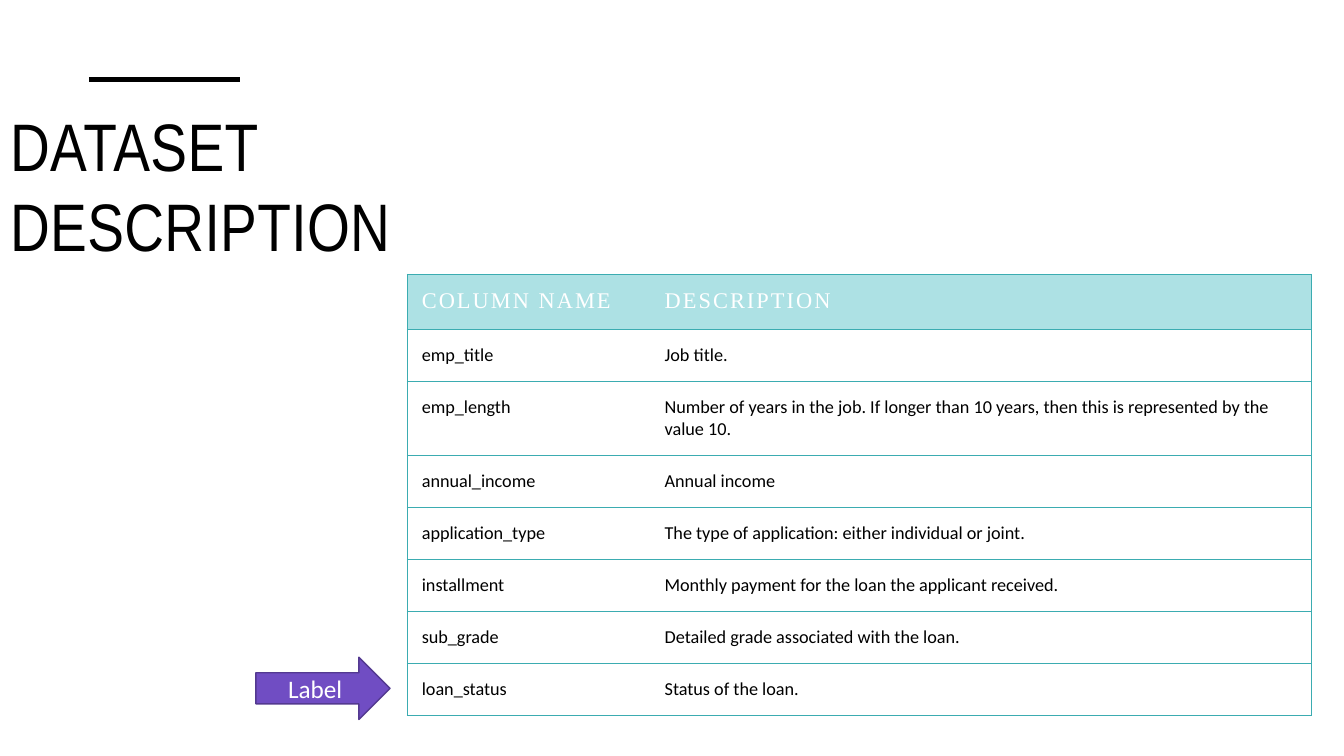
import pptx
import pptx.dml.color
import pptx.enum.shapes
import pptx.enum.text
import pptx.oxml.ns
import pptx.util
from lxml import etree
from pptx.util import Cm, Pt

COLORS = {
    "text": "000000",
    "light": "FFFFFF",
    "header": "ADE1E4",
    "border": "3BACB1",
    "arrow": "704DC3",
    "arrow_line": "533990",
}
ROWS = [
    ("COLUMN NAME", "DESCRIPTION"),
    ("emp_title", "Job title."),
    ("emp_length", "Number of years in the job. If longer than 10 years, "
                   "then this is represented by the value 10."),
    ("annual_income", "Annual income"),
    ("application_type", "The type of application: either individual or joint."),
    ("installment", "Monthly payment for the loan the applicant received."),
    ("sub_grade", "Detailed grade associated with the loan."),
    ("loan_status", "Status of the loan."),
]
COLUMN_WIDTHS = (6.12, 16.66)
HEADER_HEIGHT, ROW_HEIGHT, WRAPPED_ROW_HEIGHT = 1.39, 1.31, 1.87
WRAPPED_ROW = 2
CELL_MARGIN = 0.37


def rgb(name):
    return pptx.dml.color.RGBColor.from_string(COLORS[name])


def add_run(paragraph, text, font, size, color, spacing=0):
    """Add a formatted run; spacing is the letter spacing in points."""
    run = paragraph.add_run()
    run.text = text
    run.font.name = font
    run.font.size = Pt(size)
    run.font.color.rgb = rgb(color)
    if spacing:
        run.font._element.set("spc", str(round(spacing * 100)))


def add_title(slide, text):
    title = slide.shapes.title
    title.left, title.top = Cm(0), Cm(2.49)
    title.width, title.height = Cm(10.44), Cm(10.87)
    frame = title.text_frame
    frame.word_wrap = True
    frame.auto_size = pptx.enum.text.MSO_AUTO_SIZE.NONE
    frame.vertical_anchor = pptx.enum.text.MSO_ANCHOR.TOP
    paragraph = frame.paragraphs[0]
    paragraph.alignment = pptx.enum.text.PP_ALIGN.LEFT
    add_run(paragraph, text, "Arial Narrow", 48, "text", 0.3)


def add_accent_line(slide):
    line = slide.shapes.add_connector(
        pptx.enum.shapes.MSO_CONNECTOR.STRAIGHT, Cm(2.24), Cm(2), Cm(6.05), Cm(2))
    line.line.color.rgb = rgb("text")
    line.line.width = Pt(3.5)
    etree.SubElement(line._element.spPr, pptx.oxml.ns.qn("a:effectLst"))


def set_borders(cell, visible_sides):
    """Draw the given sides (letters of LRTB) and hide the others."""
    qn = pptx.oxml.ns.qn
    properties = cell._tc.get_or_add_tcPr()
    for side in "LRTB":
        border = etree.SubElement(properties, qn(f"a:ln{side}"), w=str(Pt(0.5)))
        if side in visible_sides:
            fill = etree.SubElement(border, qn("a:solidFill"))
            etree.SubElement(fill, qn("a:srgbClr"), val=COLORS["border"])
        else:
            etree.SubElement(border, qn("a:noFill"))


def fill_cell(cell, text, is_header, outer_side):
    cell.margin_left = cell.margin_right = Cm(CELL_MARGIN)
    cell.margin_top = cell.margin_bottom = Cm(CELL_MARGIN)
    set_borders(cell, "TB" + outer_side)
    paragraph = cell.text_frame.paragraphs[0]
    if is_header:
        cell.fill.solid()
        cell.fill.fore_color.rgb = rgb("header")
        add_run(paragraph, text, "Times New Roman", 16, "light", 1.5)
    else:
        cell.fill.background()
        add_run(paragraph, text, "Calibri", 13, "text")


def add_column_table(slide):
    heights = [HEADER_HEIGHT] + [ROW_HEIGHT] * (len(ROWS) - 1)
    heights[WRAPPED_ROW] = WRAPPED_ROW_HEIGHT
    table = slide.shapes.add_table(
        len(ROWS), len(COLUMN_WIDTHS), Cm(10.26), Cm(6.91),
        Cm(sum(COLUMN_WIDTHS)), Cm(sum(heights))).table
    table.horz_banding = False
    for column, width in zip(table.columns, COLUMN_WIDTHS):
        column.width = Cm(width)
    for row_index, (row, height) in enumerate(zip(table.rows, heights)):
        row.height = Cm(height)
        for cell, text, side in zip(row.cells, ROWS[row_index], "LR"):
            fill_cell(cell, text, row_index == 0, side)


def add_label_arrow(slide, text):
    arrow = slide.shapes.add_shape(
        pptx.enum.shapes.MSO_SHAPE.RIGHT_ARROW, Cm(6.45), Cm(16.56), Cm(3.38), Cm(1.57))
    arrow.shadow.inherit = False
    arrow.fill.solid()
    arrow.fill.fore_color.rgb = rgb("arrow")
    arrow.line.color.rgb = rgb("arrow_line")
    arrow.line.width = Pt(1)
    arrow.text_frame.vertical_anchor = pptx.enum.text.MSO_ANCHOR.MIDDLE
    paragraph = arrow.text_frame.paragraphs[0]
    paragraph.alignment = pptx.enum.text.PP_ALIGN.CENTER
    add_run(paragraph, text, "Calibri", 18, "light")


def main():
    presentation = pptx.Presentation()
    presentation.slide_width, presentation.slide_height = Cm(33.87), Cm(19.05)
    slide = presentation.slides.add_slide(
        presentation.slide_layouts.get_by_name("Title Only"))
    add_title(slide, "DATASET DESCRIPTION")
    add_accent_line(slide)
    add_column_table(slide)
    add_label_arrow(slide, "Label")
    presentation.save("out.pptx")


if __name__ == "__main__":
    main()
